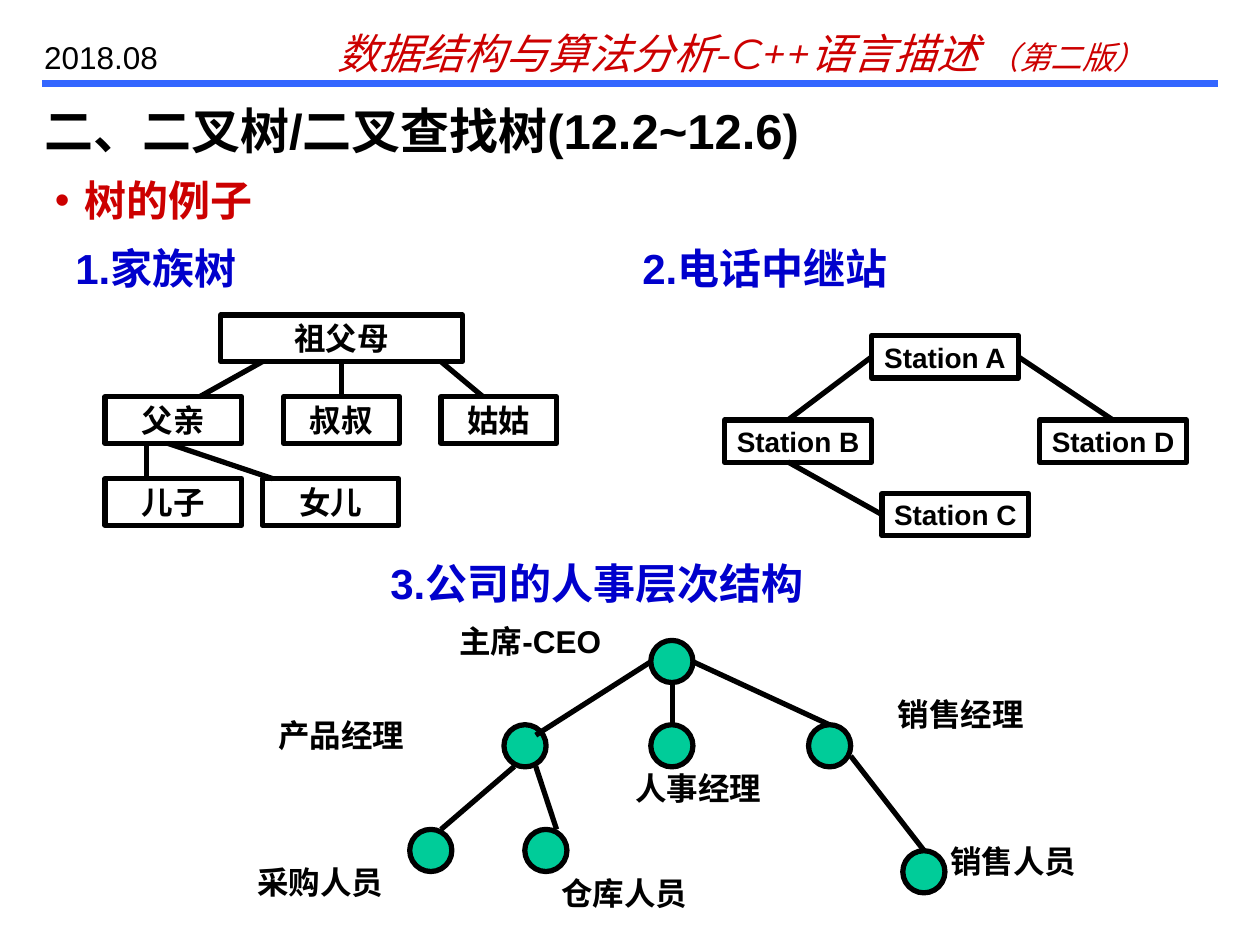
from lxml.etree import SubElement
from pptx import Presentation
from pptx.dml.color import RGBColor
from pptx.enum.shapes import MSO_CONNECTOR as LINK, MSO_SHAPE as SHAPE
from pptx.enum.text import MSO_ANCHOR as ANCHOR, MSO_AUTO_SIZE as AUTO, PP_ALIGN as ALIGN
from pptx.oxml.ns import qn
from pptx.util import Cm, Pt

BLACK = RGBColor(0x00, 0x00, 0x00)
RED = RGBColor(0xCC, 0x00, 0x00)
NAVY = RGBColor(0x00, 0x00, 0xCC)
BLUE = RGBColor(0x33, 0x66, 0xFF)
GREEN = RGBColor(0x00, 0xCC, 0x99)

ROW_TOPS = (6.35, 8, 9.65)
FAMILY = {
    "祖父母": (4.45, ROW_TOPS[0], 4.87, 0.94),
    "父亲": (2.12, ROW_TOPS[1], 2.75, 0.94),
    "叔叔": (5.72, ROW_TOPS[1], 2.33, 0.94),
    "姑姑": (8.89, ROW_TOPS[1], 2.33, 0.94),
    "儿子": (2.12, ROW_TOPS[2], 2.75, 0.94),
    "女儿": (5.29, ROW_TOPS[2], 2.75, 0.94),
}
FAMILY_LINKS = [
    ((5.29, 7.29), (4.02, 8)),
    (("祖父母", 2), ("叔叔", 0)),
    ((8.89, 7.29), (9.74, 8)),
    ((2.96, 8.94), (2.96, 9.65)),
    ((3.39, 8.94), (5.5, 9.65)),
]
STATIONS = {
    "Station A": (17.57, 6.77, 2.96, 0.85),
    "Station B": (14.61, 8.47, 2.96, 0.85),
    "Station D": (20.96, 8.47, 2.96, 0.85),
    "Station C": (17.78, 9.95, 2.96, 0.85),
}
STATION_LINKS = [
    (("Station A", 1), (15.88, 8.47)),
    (("Station A", 3), ("Station D", 0)),
    ((15.88, 9.31), ("Station C", 1)),
]
STAFF = [
    ("主席-CEO", (13.12, 12.91), (7.41, 12.49)),
    ("产品经理", (10.16, 14.61), (3.6, 14.39)),
    ("人事经理", (13.12, 14.61), (10.8, 15.45)),
    ("销售经理", (16.3, 14.61), (16.09, 13.97)),
    ("采购人员", (8.26, 16.72), (3.18, 17.36)),
    ("仓库人员", (10.58, 16.72), (9.31, 17.57)),
    ("销售人员", (18.2, 17.15), (17.15, 16.93)),
]
STAFF_LINKS = [
    ((13.12, 13.34), (10.8, 14.82)),
    ((13.55, 13.76), (13.55, 14.61)),
    ((13.97, 13.34), (16.72, 14.61)),
    ((10.37, 15.45), (8.89, 16.72)),
    ((10.8, 15.45), (11.22, 16.72)),
    ((17.15, 15.24), (18.63, 17.15)),
]


def lengths(values):
    """Turn numbers of centimetres into lengths."""
    return [Cm(value) for value in values]


def style(span, size, color=BLACK, bold=True, italic=False, name="Arial"):
    """Format one run of text."""
    font = span.font
    font.name, font.size, font.bold, font.italic = name, Pt(size), bold, italic
    font.color.rgb = color


def write(box, text, size, color=BLACK, align=ALIGN.LEFT, anchor=ANCHOR.TOP, wrap=True, **look):
    """Fill a box with one formatted paragraph and return the paragraph."""
    frame = box.text_frame
    frame.text = text
    frame.word_wrap, frame.vertical_anchor = wrap, anchor
    frame.auto_size = AUTO.NONE
    para = frame.paragraphs[0]
    para.alignment, para.space_before = align, Pt(0)
    for span in para.runs:
        style(span, size, color, **look)
    return para


def add_text(shapes, area, text, size, color=BLACK, **layout):
    """Add a text box and return its paragraph."""
    return write(shapes.add_textbox(*lengths(area)), text, size, color, **layout)


def add_heading(shapes, area, text):
    """Add the heading of one example tree."""
    add_text(shapes, area, text, 24, NAVY).line_spacing = 0.9


def add_node(shapes, kind, area, fill=None):
    """Add an outlined node of a tree."""
    node = shapes.add_shape(kind, *lengths(area))
    node.shadow.inherit = False
    if fill is None:
        node.fill.background()
    else:
        node.fill.solid()
        node.fill.fore_color.rgb = fill
    node.line.color.rgb, node.line.width = BLACK, Pt(3)
    return node


def add_line(shapes, start, end, color=BLACK, width=3):
    """Add a straight line between two points."""
    line = shapes.add_connector(LINK.STRAIGHT, *lengths(start + end))
    line.line.color.rgb, line.line.width = color, Pt(width)
    SubElement(line._element.spPr, qn("a:effectLst"))
    return line


def add_links(shapes, links, boxes):
    """Link points, or named sides of boxes, with lines."""
    for start, end in links:
        joins = [isinstance(point[0], str) for point in (start, end)]
        points = [(0, 0) if joined else point for joined, point in zip(joins, (start, end))]
        if joins[0]:
            points[0] = points[1]
        if joins[1]:
            points[1] = points[0]
        line = add_line(shapes, *points)
        if joins[0]:
            line.begin_connect(boxes[start[0]], start[1])
        if joins[1]:
            line.end_connect(boxes[end[0]], end[1])


def add_box_tree(page, heading, heading_area, areas, links, size):
    """Add a group with a heading and a tree of labelled rectangles."""
    shapes = page.shapes.add_group_shape().shapes
    add_heading(shapes, heading_area, heading)
    boxes = {}
    for name, area in areas.items():
        boxes[name] = add_node(shapes, SHAPE.RECTANGLE, area)
        write(boxes[name], name, size, align=ALIGN.CENTER, anchor=ANCHOR.MIDDLE, wrap=False)
    add_links(shapes, links, boxes)


def add_staff_tree(page):
    """Add a group with a heading and a tree of circles with labels."""
    shapes = page.shapes.add_group_shape().shapes
    add_heading(shapes, (7.62, 11.22, 10.58, 1.06), "3.公司的人事层次结构")
    for role, corner, label_corner in STAFF:
        add_node(shapes, SHAPE.OVAL, corner + (0.85, 0.85), GREEN)
        add_text(shapes, label_corner + (6.56, 0.85), role, 18,
                 align=ALIGN.CENTER, anchor=ANCHOR.MIDDLE, wrap=False)
    add_links(shapes, STAFF_LINKS, {})


def add_header(page):
    """Add the course name, the date and the rule below them."""
    add_line(page.shapes, (0.85, 1.69), (24.55, 1.69), BLUE, 4)
    look = dict(color=RED, bold=False, italic=True, name="Montserrat")
    para = add_text(page.shapes, (6.56, 0.42, 17.78, 1.27), "数据结构与算法分析-C++语言描述 ", 24, **look)
    edition = para.add_run()
    edition.text = "（第二版）"
    style(edition, 18, **look)
    add_text(page.shapes, (0.64, 0.64, 3.6, 1.02), "2018.08", 18, bold=False)


def place(box, area):
    """Move a placeholder to an area."""
    box.left, box.top, box.width, box.height = lengths(area)


def fill_placeholders(page):
    """Fill the title and the bullet line."""
    title, body = page.shapes.title, page.placeholders[1]
    place(title, (0.64, 1.9, 23.07, 1.27))
    write(title, "二、二叉树/二叉查找树(12.2~12.6)", 28)
    place(body, (0.85, 3.39, 24.55, 1.27))
    para = write(body, "树的例子", 24, RED, name="DejaVu Sans")
    props = para._p.get_or_add_pPr()
    props.set("marL", str(Cm(0.6)))
    props.set("indent", str(-Cm(0.6)))
    SubElement(SubElement(props, qn("a:buClr")), qn("a:srgbClr")).set("val", str(RED))
    SubElement(props, qn("a:buChar")).set("char", "•")


def main():
    """Build the slide of tree examples."""
    deck = Presentation()
    deck.slide_width, deck.slide_height = Cm(25.4), Cm(19.05)
    page = deck.slides.add_slide(deck.slide_layouts[1])
    add_header(page)
    fill_placeholders(page)
    add_box_tree(page, "1.家族树", (1.27, 4.87, 6.99, 1.06), FAMILY, FAMILY_LINKS, 18)
    add_box_tree(page, "2.电话中继站", (12.7, 4.87, 11.64, 0.85), STATIONS, STATION_LINKS, 16)
    add_staff_tree(page)
    deck.save("out.pptx")


if __name__ == "__main__":
    main()
